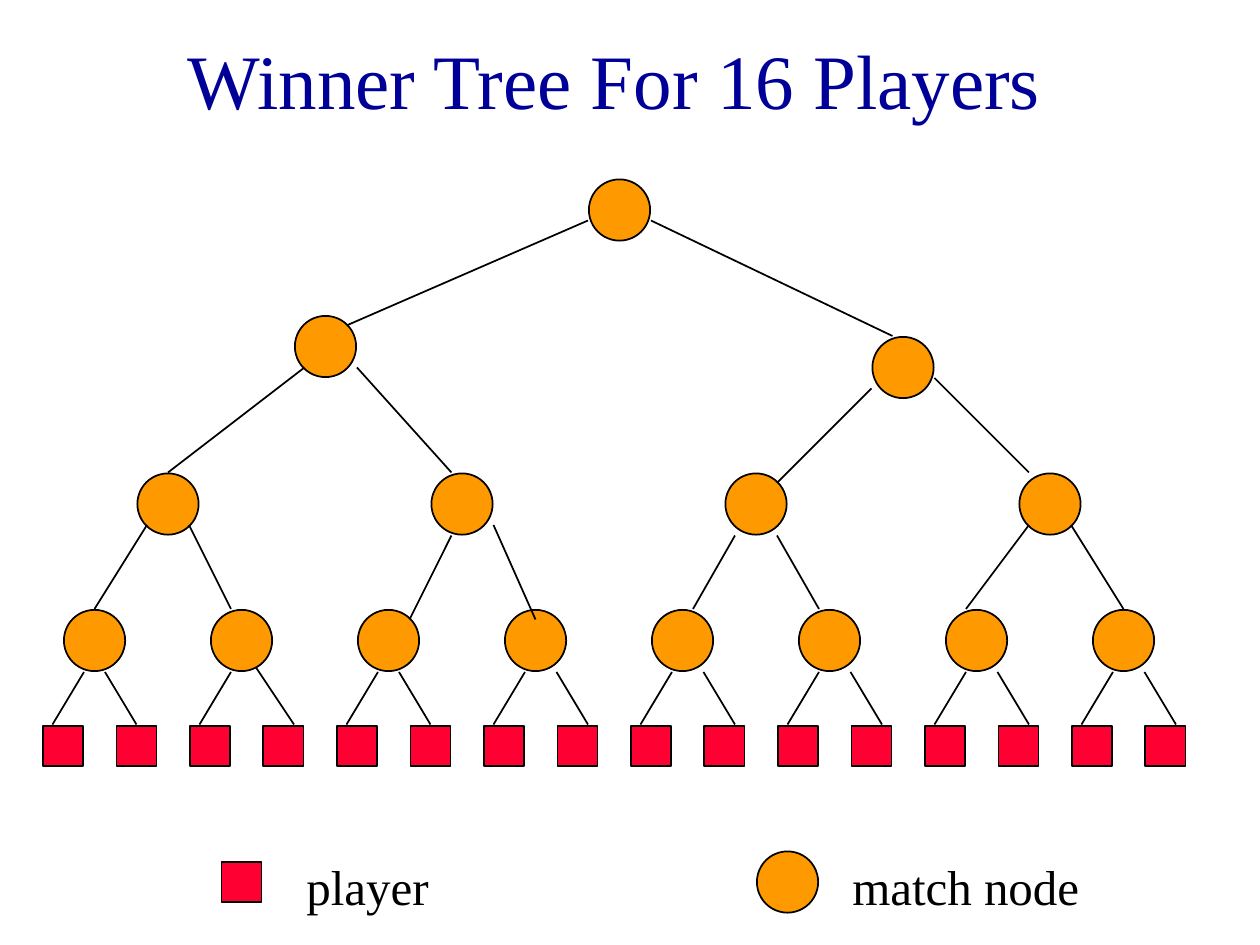
"""Build a slide showing a winner tree for 16 players."""
from lxml import etree
from pptx import Presentation
from pptx.dml.color import RGBColor
from pptx.enum.shapes import MSO_CONNECTOR, MSO_SHAPE
from pptx.enum.text import MSO_ANCHOR as Anchor, PP_ALIGN as Align
from pptx.oxml.ns import qn
from pptx.util import Pt

PLAYER = (MSO_SHAPE.RECTANGLE, 23, "FF0033")
MATCH = (MSO_SHAPE.OVAL, 35, "FF9900")


def color(value):
    return RGBColor.from_string(value)


def write(target, text, size=28, fill="000000", align=Align.LEFT, anchor=Anchor.TOP):
    frame = target.text_frame
    frame.word_wrap = True
    frame.vertical_anchor = anchor
    paragraph = frame.paragraphs[0]
    paragraph.alignment = align
    run = paragraph.add_run()
    run.text = text
    run.font.name = "Times New Roman"
    run.font.size = Pt(size)
    run.font.color.rgb = color(fill)


prs = Presentation()
prs.slide_width, prs.slide_height = Pt(720), Pt(540)
slide = prs.slides.add_slide(prs.slide_layouts[5])
shapes = slide.shapes

title = shapes.title
title.left, title.top, title.width, title.height = Pt(0), Pt(0), Pt(702), Pt(90)
write(title, "Winner Tree For 16 Players", size=44, fill="000099",
      align=Align.CENTER, anchor=Anchor.MIDDLE)

right_links = [(60, 78), (144, 168), (228, 246), (318, 336),
               (402, 420), (486, 504), (570, 588), (654, 672)]
player_links = [(48 + 84 * i, 384, 30 + 84 * i, 414) for i in range(8)]
player_links += [(start, 378 if start == 144 else 384, end, 414)
                 for start, end in right_links]
match_links = [
    (336, 126, 198, 186), (372, 126, 510, 192),
    (174, 210, 96, 270), (204, 210, 258, 270),
    (498, 222, 444, 276), (534, 216, 588, 270),
    (84, 300, 54, 348), (108, 300, 132, 348),
    (258, 306, 234, 354), (282, 300, 306, 354),
    (420, 306, 396, 348), (444, 306, 468, 348),
    (588, 300, 552, 348), (612, 300, 642, 348),
]

players = [(24.5 + 42 * i, 414.7) for i in range(16)]
matches = [(36.5 + 84 * i, 348.5) for i in range(8)]
matches += [(78.5 + 168 * i, 270.5) for i in range(4)]
matches += [(168.5, 180.5), (498.5, 192.5), (336.5, 102.5)]
player_key, match_key = (126.5, 492.5), (432.5, 486.5)

layers = [
    (player_links, PLAYER, players + [player_key]),
    ([], MATCH, matches + [match_key]),
    (match_links, MATCH, []),
]
for links, (outline, size, fill), spots in layers:
    for x1, y1, x2, y2 in links:
        link = shapes.add_connector(MSO_CONNECTOR.STRAIGHT, Pt(x1), Pt(y1), Pt(x2), Pt(y2))
        link.line.color.rgb = color("000000")
        link.line.width = Pt(1)
        etree.SubElement(link._element.spPr, qn("a:effectLst"))
    for left, top in spots:
        node = shapes.add_shape(outline, Pt(left), Pt(top), Pt(size), Pt(size))
        node.shadow.inherit = False
        node.fill.solid()
        node.fill.fore_color.rgb = color(fill)
        node.line.color.rgb = color("000000")
        node.line.width = Pt(1)

for label, left, width in [("player", 168, 162), ("match node", 480, 186)]:
    write(shapes.add_textbox(Pt(left), Pt(486), Pt(width), Pt(41)), label)

prs.save("out.pptx")
